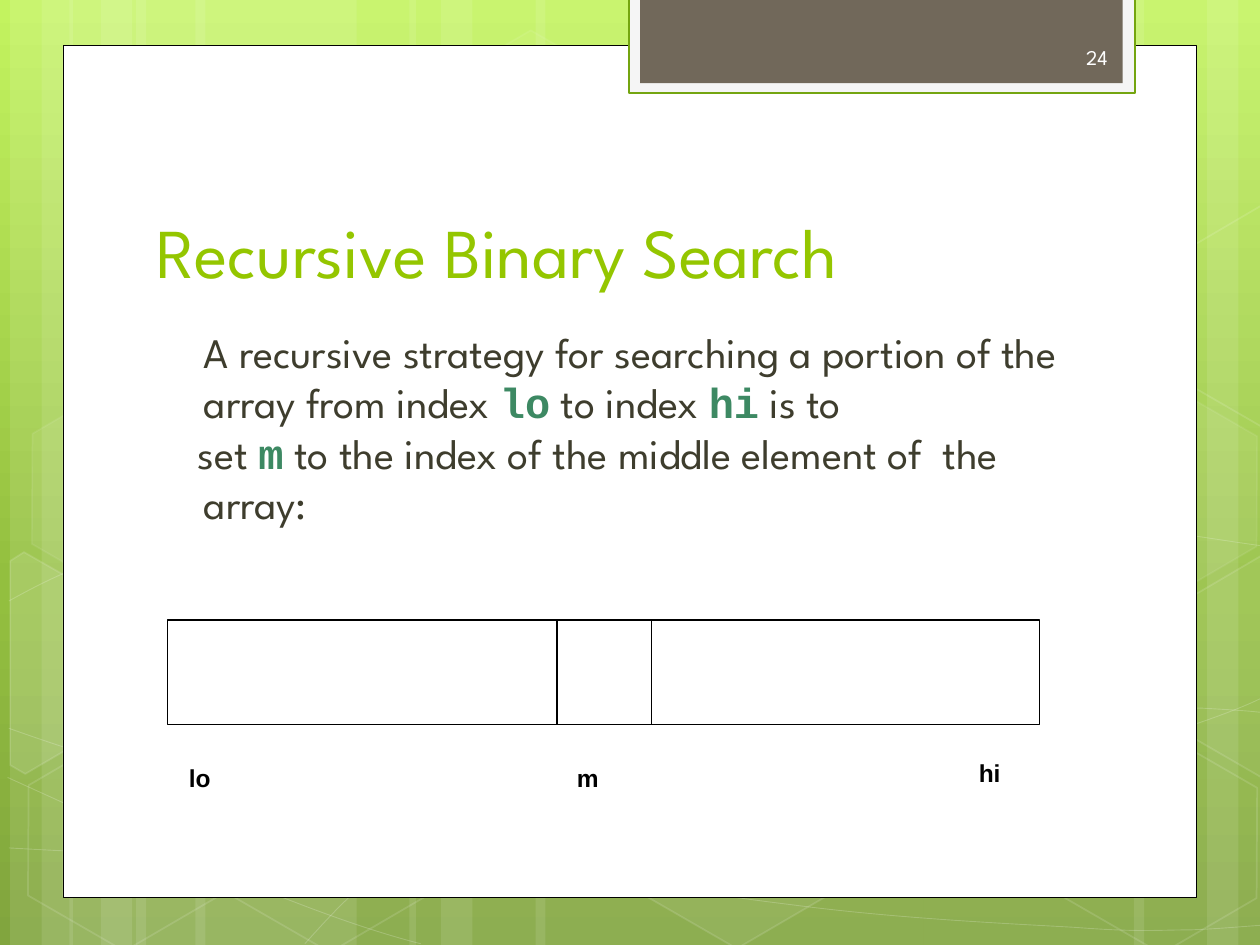
"""Build the Recursive Binary Search slide on its green hexagon background."""
import copy
import math

from lxml import etree
from pptx import Presentation
from pptx import util as u
from pptx.dml.color import RGBColor
from pptx.enum import shapes, text
from pptx.oxml import ns

Inches, Pt = u.Inches, u.Pt
COLORS = {
    "white": "FFFFFF", "black": "000000", "frame": "F5F5F5", "border": "74A510",
    "tab": "71685A", "title": "94C600", "body": "3E3D2D", "code": "3D8963", "number": "FEFEFE",
}
BACKGROUND_STOPS = [(0, "C3F35F"), (0.62, "93BF3F"), (1, "81A53E")]


def style(shape, fill=None, fill_alpha=100, line=None, width=1, line_alpha=100):
    shape.shadow.inherit = False
    for target, color, alpha in ((shape.fill, fill, fill_alpha), (shape.line.fill, line, line_alpha)):
        if color is None:
            target.background()
            continue
        target.solid()
        target.fore_color.rgb = RGBColor.from_string(COLORS[color])
        if alpha < 100:
            parent = shape.line._ln if target is not shape.fill else shape._element.spPr
            color_element = parent.find(ns.qn("a:solidFill")).find(ns.qn("a:srgbClr"))
            etree.SubElement(color_element, ns.qn("a:alpha"), val=str(alpha * 1000))
    if line:
        shape.line.width = Pt(width)


def add_text(box, paragraphs, frame_format, paragraph_format, font_format):
    shape = slide.shapes.add_textbox(*map(Inches, box))
    for name, value in frame_format.items():
        setattr(shape.text_frame, name, value)
    for index, runs in enumerate(paragraphs):
        paragraph = shape.text_frame.paragraphs[0] if index == 0 else shape.text_frame.add_paragraph()
        for name, value in paragraph_format.items():
            setattr(paragraph, name, value)
        for words, changes in runs:
            run = paragraph.add_run()
            run.text = words
            values = {**font_format, **changes}
            run.font.color.rgb = RGBColor.from_string(COLORS[values.pop("color")])
            for name, value in values.items():
                setattr(run.font, name, value)
    return shape


presentation = Presentation()
presentation.slide_width, presentation.slide_height = Inches(10), Inches(7.5)
slide = presentation.slides.add_slide(presentation.slide_layouts[6])

background = slide.background.fill
background.gradient()
background.gradient_angle = 270
stop_list = next(slide._element.iter(ns.qn("a:gsLst")))
stop_list.insert(1, copy.deepcopy(stop_list[0]))
for stop, (position, color) in zip(background.gradient_stops, BACKGROUND_STOPS):
    stop.position = position
    stop.color.rgb = RGBColor.from_string(color)

STRIPES = [
    (1.08, 1.75), (0.08, 0.5), (0.33, 0.83), (1.55, 1.75), (0.55, 0.5), (0.8, 0.83),
    (7.33, 1.75), (9.58, 0.5), (9, 0.83), (4.25, 3.08), (3.25, 0.5), (3.5, 0.83),
]
for left, width in STRIPES:
    stripe = slide.shapes.add_shape(
        shapes.MSO_SHAPE.RECTANGLE, Inches(left), 0, Inches(width), presentation.slide_height)
    style(stripe, "white", 10)

CURVES = [
    [(0.07, 6.73), (0.61, 6.76, 1.15, 6.79, 1.9, 6.78), (2.65, 6.77, 3.58, 6.75, 4.58, 6.65),
     (5.58, 6.55, 7, 6.36, 7.92, 6.17), (8.83, 5.98, 9.77, 5.68, 10.07, 5.51)],
    [(0.07, 4.77), (0.36, 4.61, 0.65, 4.46, 1.21, 4.31), (1.78, 4.16, 2.59, 3.94, 3.47, 3.87),
     (4.36, 3.8, 5.44, 3.79, 6.54, 3.87), (7.64, 3.95, 9.47, 4.26, 10.07, 4.34)],
    [(0.06, 6.17), (1.27, 6.72, 2.47, 7.27, 3.34, 7.49)],
    [(0.07, 5.78), (0.38, 5.89, 0.7, 6, 1.28, 6.16), (1.86, 6.31, 2.73, 6.56, 3.57, 6.73),
     (4.4, 6.9, 5.45, 7.08, 6.28, 7.18), (7.11, 7.29, 8, 7.33, 8.53, 7.36),
     (9.05, 7.4, 9.19, 7.38, 9.45, 7.38), (9.71, 7.37, 9.89, 7.35, 10.07, 7.34)],
    [(2.42, 7.49), (2.6, 7.29, 2.78, 7.09, 3.02, 6.91), (3.26, 6.73, 3.6, 6.53, 3.88, 6.39),
     (4.16, 6.25, 4.33, 6.19, 4.7, 6.09), (5.06, 5.99, 5.73, 5.85, 6.08, 5.78),
     (6.44, 5.71, 6.49, 5.71, 6.8, 5.69), (7.11, 5.66, 7.6, 5.63, 7.94, 5.62),
     (8.29, 5.61, 8.86, 5.62, 8.86, 5.62), (9.53, 5.62),
     (9.71, 5.63, 9.88, 5.64, 9.97, 5.65), (10.06, 5.66, 10.03, 5.65, 10.06, 5.66)],
]
for start, *segments in CURVES:
    builder = slide.shapes.build_freeform(*map(Inches, start))
    for segment in segments:
        points = zip(segment[::2], segment[1::2])
        builder.add_line_segments([(Inches(x), Inches(y)) for x, y in points], close=False)
    curve = builder.convert_to_shape()
    corners = iter(list(curve._element.iter(ns.qn("a:lnTo"))))
    for segment in segments:
        first = next(corners)
        if len(segment) == 6:
            first.tag = ns.qn("a:cubicBezTo")
            for corner in (next(corners), next(corners)):
                first.append(corner[0])
                corner.getparent().remove(corner)
    style(curve, line="white", width=0.5, line_alpha=20)

HEXAGONS = [
    (3.34, 0.36, 4, 8), (4.97, 5.89, 6, 12), (0.11, 5.91, 0, 12), (0.14, 3.12, 7, 8),
    (1.74, 5.92, 0, 12), (7.53, 4.53, 10, 12), (8.34, 5.93, 0, 12), (8.34, 3.14, 7, 8),
]
TILT = 30
for left, top, fill_alpha, line_alpha in HEXAGONS:
    hexagon = slide.shapes.add_shape(
        shapes.MSO_SHAPE.HEXAGON, Inches(left), Inches(top), Inches(1.75), Inches(1.52))
    hexagon.rotation = TILT
    hexagon.adjustments[0] = 0.285
    style(hexagon, "white" if fill_alpha else None, fill_alpha, "white", 1, line_alpha)

CUT_HEXAGONS = [
    (10, 0.36, 5.35, [(0.08, 4.45), (0.19, 4.38), (0.96, 4.82), (0.95, 5.7), (0.2, 6.14), (0.08, 6.07)]),
    (4, 9.85, 5.2, [(9.26, 4.85), (10.01, 4.41), (10.09, 4.46), (10.09, 6.13), (10.02, 6.17), (9.26, 5.73)]),
    (0, 9.85, 2.41, [(9.26, 2.07), (10.01, 1.63), (10.1, 1.68), (10.09, 3.35), (10.02, 3.39), (9.26, 2.95)]),
]
cosine, sine = math.cos(math.radians(TILT)), math.sin(math.radians(TILT))
for fill_alpha, center_x, center_y, corners in CUT_HEXAGONS:
    offsets = [(x - center_x, y - center_y) for x, y in corners]
    start, *others = [(Inches(center_x + x * cosine + y * sine), Inches(center_y - x * sine + y * cosine))
                      for x, y in offsets]
    builder = slide.shapes.build_freeform(*start)
    builder.add_line_segments(others, close=True)
    cut_hexagon = builder.convert_to_shape()
    cut_hexagon.rotation = TILT
    style(cut_hexagon, "white" if fill_alpha else None, fill_alpha, "white", 1, 12)

ARRAY_LEFT, ARRAY_TOP, ARRAY_WIDTH, ARRAY_HEIGHT = 1.33, 4.92, 6.92, 0.83
PANELS = [
    ((0.5, 0.36, 9, 6.76), {"fill": "white", "line": "black", "width": 0.5}),
    ((4.99, -0.02, 4.02, 0.76), {"fill": "frame", "line": "border", "width": 1.25}),
    ((5.08, -0.02, 3.83, 0.68), {"fill": "tab"}),
    ((ARRAY_LEFT, ARRAY_TOP, ARRAY_WIDTH, ARRAY_HEIGHT), {"line": "black", "width": 0.75}),
]
for box, look in PANELS:
    style(slide.shapes.add_shape(shapes.MSO_SHAPE.RECTANGLE, *map(Inches, box)), **look)

for x in (4.42, 5.17):
    divider = slide.shapes.add_connector(
        shapes.MSO_CONNECTOR.STRAIGHT, Inches(x), Inches(ARRAY_TOP),
        Inches(x), Inches(ARRAY_TOP + ARRAY_HEIGHT))
    divider.line.color.rgb = RGBColor.from_string(COLORS["black"])
    divider.line.width = Pt(0.75)
    etree.SubElement(divider._element.spPr, ns.qn("a:effectLst"))

FONT = "League Spartan"
CODE = {"name": "Courier New", "color": "code", "bold": True}
add_text((1.14, 1.12, 7.68, 1.25), [[("Recursive Binary Search", {})]],
         {"word_wrap": True, "vertical_anchor": text.MSO_ANCHOR.BOTTOM}, {},
         {"name": FONT, "size": Pt(40), "color": "title"})
body = add_text(
    (1.14, 2.54, 7.41, 3.84),
    [[("A recursive strategy for searching a portion of the array from index ", {}), ("lo", CODE),
      (" to index ", {}), ("hi", CODE), (" is to", {})],
     [("set ", {}), ("m", CODE), (" to the index of the middle element of  the array:", {})]],
    {"word_wrap": True}, {}, {"name": FONT, "size": Pt(24), "color": "body"})
for paragraph, indent, space in zip(body.text_frame.paragraphs, (0, -0.05), (4.8, 0)):
    paragraph.space_before = Pt(space)
    properties = paragraph._p.get_or_add_pPr()
    properties.set("marL", str(Inches(0.38)))
    properties.set("indent", str(Inches(indent)))
add_text((6.56, 0.25, 2.33, 0.4), [[("24", {})]],
         {"word_wrap": True, "vertical_anchor": text.MSO_ANCHOR.MIDDLE},
         {"alignment": text.PP_ALIGN.RIGHT}, {"name": FONT, "size": Pt(12), "color": "number"})

for label, left, top in (("m", 4.48, 5.79), ("lo", 1.4, 5.79), ("hi", 7.67, 5.75)):
    add_text((left, top, 0.5, 0.5), [[(label, {})]],
             {"word_wrap": False, "vertical_anchor": text.MSO_ANCHOR.BOTTOM, "margin_bottom": 0},
             {}, {"name": "Arial", "size": Pt(14), "bold": True, "color": "black"})

presentation.save("out.pptx")
